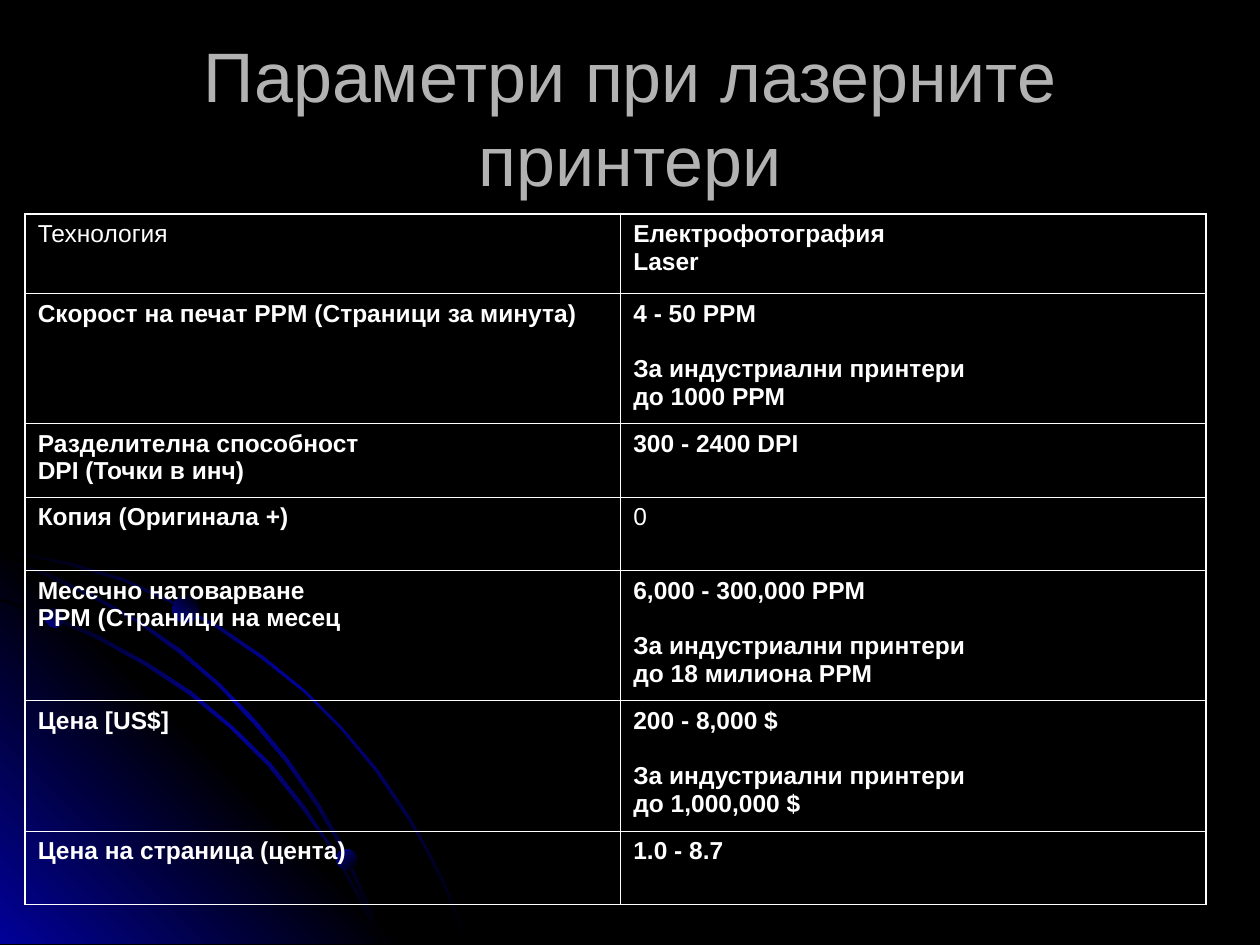
"""Build a slide with a table of laser printer parameters."""
from lxml import etree
from pptx import Presentation
from pptx.dml.color import RGBColor
from pptx.enum.shapes import MSO_SHAPE
from pptx.enum.text import MSO_ANCHOR, PP_ALIGN
from pptx.oxml.ns import qn
from pptx.util import Pt

OVAL = MSO_SHAPE.OVAL
MIDDLE = MSO_ANCHOR.MIDDLE
CENTER = PP_ALIGN.CENTER
BLACK = RGBColor(0x00, 0x00, 0x00)
BLUE = RGBColor(0x01, 0x01, 0x99)
GREY = RGBColor(0xB2, 0xB2, 0xB2)
WHITE = RGBColor(0xFF, 0xFF, 0xFF)
GRID = Pt(0.72)
THIN, THICK = Pt(0.45), Pt(1.08)


def style_font(font, color, **values):
    font.color.rgb = color
    for name, value in {"name": "Arial", **values}.items():
        setattr(font, name, value)


def paint(sp, colors, angle):
    sp.shadow.inherit = False
    sp.line.fill.background()
    sp.fill.gradient()
    sp.fill.gradient_angle = angle
    stops = sp._element.spPr.find(".//" + qn("a:gsLst"))
    for gs in list(stops):
        stops.remove(gs)
    for i, color in enumerate(colors):
        pos = str(100000 * i // (len(colors) - 1))
        gs = etree.SubElement(stops, qn("a:gs"), pos=pos)
        etree.SubElement(gs, qn("a:srgbClr"), val=str(color))


prs = Presentation()
prs.slide_width, prs.slide_height = Pt(720), Pt(540)
s = prs.slides.add_slide(prs.slide_layouts[6])
s.background.fill.solid()
s.background.fill.fore_color.rgb = BLACK

ARC = (BLACK, BLUE, BLACK)
CORNER = (BLUE, BLACK, BLUE)
OUTLINES = [
    (ARC, 315, [
        (57, 447), (28, 441), (0, 435), (0, 438), (28, 443), (56, 449),
        (97, 461), (135, 478), (173, 499), (208, 523), (241, 549),
        (271, 579), (298, 612), (323, 649), (337, 673), (350, 698),
        (360, 723), (370, 749), (372, 749), (362, 723), (352, 698),
        (339, 673), (325, 648), (300, 611), (272, 578), (242, 548),
        (209, 521), (174, 497), (136, 477), (98, 459)]),
    (CORNER, 45, [(322, 749), (0, 749), (0, 427)]),
    (ARC, 315, [
        (285, 714), (294, 732), (301, 749), (303, 749), (296, 730),
        (286, 712), (266, 676), (242, 640), (215, 606), (184, 576),
        (152, 549), (117, 526), (79, 505), (41, 488), (0, 475), (0, 477),
        (39, 490), (77, 507), (115, 528), (150, 551), (183, 578),
        (213, 608), (240, 642), (265, 677)]),
    (ARC, 315, [
        (0, 442), (0, 444), (36, 457), (74, 475), (109, 494), (142, 518),
        (173, 544), (202, 575), (227, 605), (252, 641), (267, 667),
        (280, 694), (292, 722), (301, 749), (303, 749), (294, 720),
        (282, 693), (269, 665), (254, 639), (229, 603), (204, 573),
        (175, 543), (144, 516), (111, 493), (76, 473), (39, 455)]),
]
for colors, angle, points in OUTLINES:
    fb = s.shapes.build_freeform(*points[0], scale=GRID)
    fb.add_line_segments(points[1:], close=True)
    paint(fb.convert_to_shape(), colors, angle)

for x, y, size, angle in [(25.9, 347.8, 10.8, 45), (192.2, 485.3, 11.5, 315),
                          (98.6, 340.6, 15.1, 45)]:
    sp = s.shapes.add_shape(OVAL, Pt(x), Pt(y), Pt(size), Pt(size))
    paint(sp, (BLUE, BLACK), angle)

tf = s.shapes.add_textbox(Pt(36), Pt(21.6), Pt(648), Pt(90)).text_frame
tf.word_wrap = True
tf.vertical_anchor = MIDDLE
p = tf.paragraphs[0]
p.alignment = CENTER
r = p.add_run()
r.text = "Параметри при лазерните принтери"
style_font(r.font, GREY, size=Pt(40))

INDUSTRIAL = "За индустриални принтери\vдо "
ROWS = [
    (45.4, "Технология", "Електрофотография\vLaser"),
    (74.3, "Скорост на печат PPM (Страници за минута)",
     "4 - 50 PPM\n" + INDUSTRIAL + "1000 PPM"),
    (42, "Разделителна способност\vDPI (Точки в инч)", "300 - 2400 DPI"),
    (42, "Копия (Оригинала +)", "0"),
    (74.3, "Месечно натоварване\vPPM (Страници на месец",
     "6,000 - 300,000 PPM\n" + INDUSTRIAL + "18 милиона PPM"),
    (74.5, "Цена [US$]", "200 - 8,000 $\n" + INDUSTRIAL + "1,000,000 $"),
    (42, "Цена на страница (цента)", "1.0 - 8.7"),
]
REGULAR = ("Технология", "0")
WIDTHS = (340.3, 334.4)
height = sum(row[0] for row in ROWS)
table = s.shapes.add_table(len(ROWS), len(WIDTHS), Pt(14.4), Pt(122.4),
                           Pt(sum(WIDTHS)), Pt(height)).table
table.first_row = table.horz_banding = False
for column, width in zip(table.columns, WIDTHS):
    column.width = Pt(width)

for i, (row_height, *texts) in enumerate(ROWS):
    table.rows[i].height = Pt(row_height)
    for j, text in enumerate(texts):
        cell = table.cell(i, j)
        cell.text_frame.text = text
        for k, p in enumerate(cell.text_frame.paragraphs):
            p.space_before = Pt(16 if k else 0)
            for r in p.runs:
                style_font(r.font, WHITE, size=Pt(14),
                           bold=text not in REGULAR)
        edges = {"a:lnL": j == 0, "a:lnR": j == len(WIDTHS) - 1,
                 "a:lnT": i == 0, "a:lnB": i == len(ROWS) - 1}
        tcPr = cell._tc.get_or_add_tcPr()
        for tag, outer in edges.items():
            ln = etree.SubElement(tcPr, qn(tag), w=str(THICK if outer else THIN))
            fill = etree.SubElement(ln, qn("a:solidFill"))
            etree.SubElement(fill, qn("a:srgbClr"), val=str(WHITE))
        cell.fill.background()

prs.save("out.pptx")
